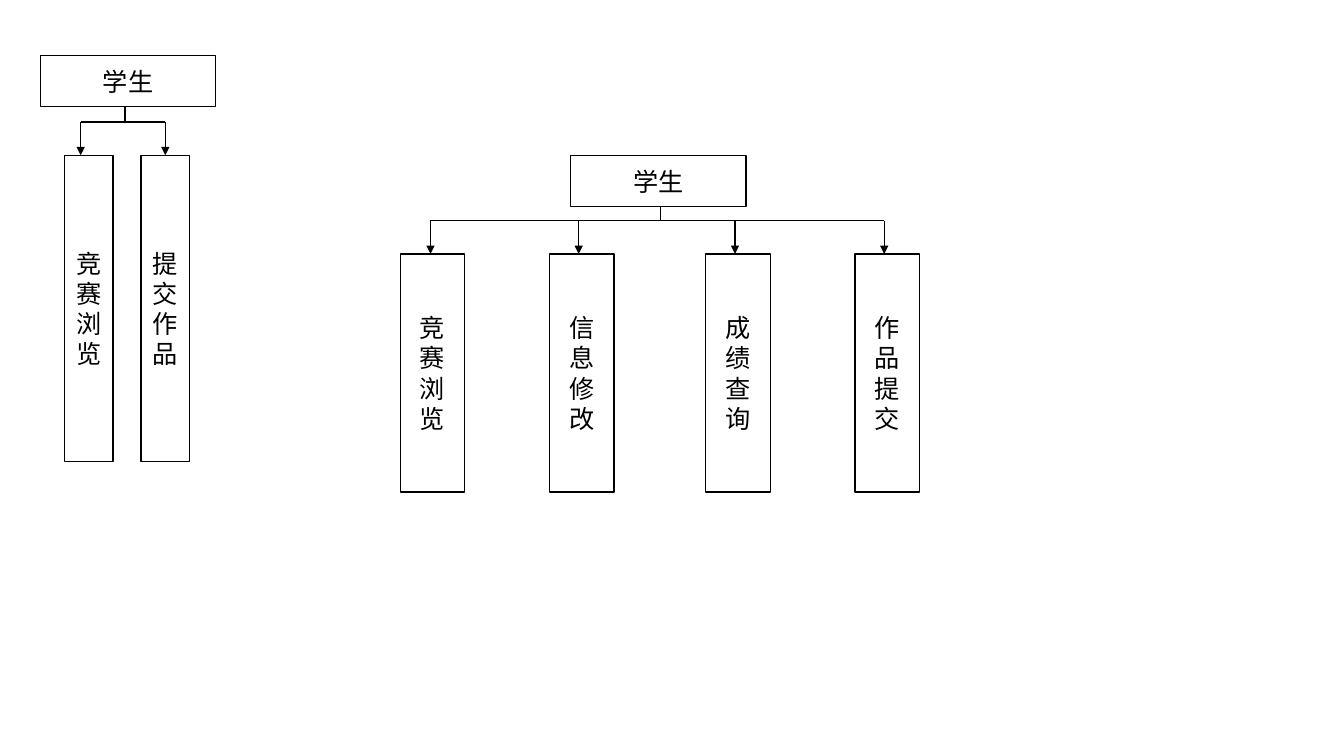
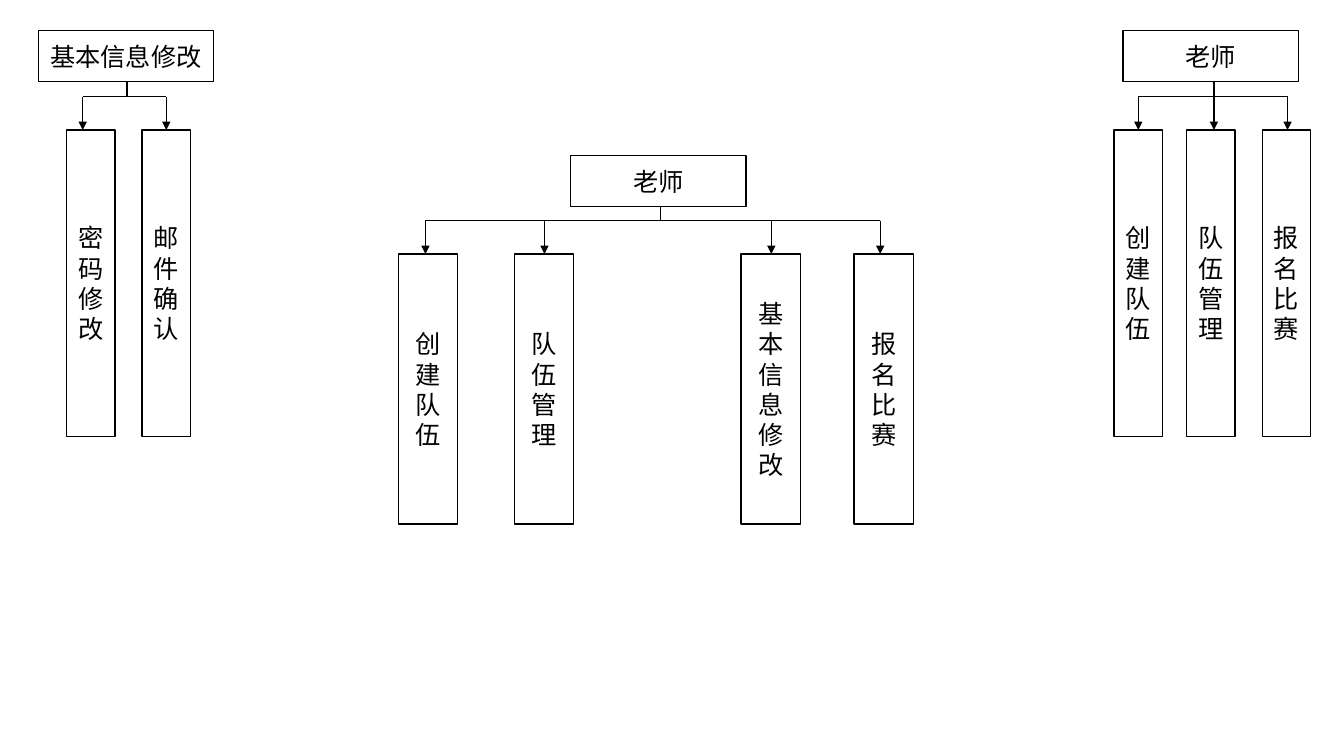
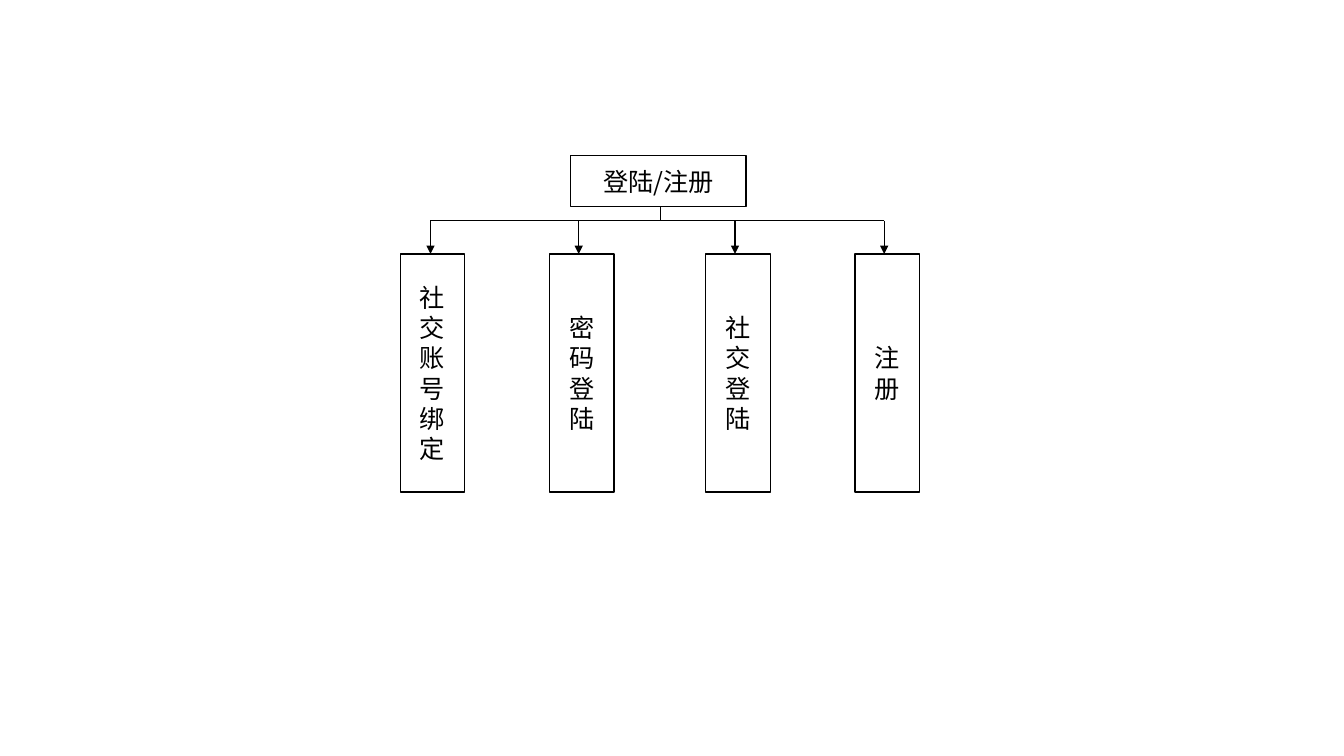
from lxml.etree import SubElement
from pptx import Presentation
from pptx.dml.color import RGBColor
from pptx.enum.shapes import MSO_CONNECTOR, MSO_SHAPE
from pptx.enum.text import MSO_ANCHOR, PP_ALIGN
from pptx.oxml.ns import qn
from pptx.util import Inches, Pt

COLORS = {"paper": "FFFFFF", "ink": "000000"}
FONT = "Noto Sans CJK SC"
ROOT_W, ROOT_H = 1.74, 0.51
DROP = 0.33

# Each column is (leaf left, arrow x), measured from the left of the root.
WIDE = [(-1.69, -1.39), (-0.21, 0.08), (1.34, 1.63), (2.82, 3.11)]
WIDE_UNEVEN = [(-1.71, -1.44), (-0.56, -0.26), (1.69, 1.99), (2.81, 3.07)]
TRIPLE = [(-0.09, 0.15), (0.63, 0.9), (1.38, 1.63)]
PAIR = [(0.24, 0.4), (1, 1.24)]
PAIR_SHIFTED = [(0.28, 0.44), (1.03, 1.27)]


def color(name):
    """Return a palette colour."""
    return RGBColor.from_string(COLORS[name])


def add_box(slide, left, top, width, height, text):
    """Draw an outlined box with centred text, one paragraph per line."""
    sp = slide.shapes.add_shape(MSO_SHAPE.RECTANGLE, Inches(left), Inches(top),
                                Inches(width), Inches(height))
    sp.shadow.inherit = False
    sp.fill.solid()
    sp.fill.fore_color.rgb = color("paper")
    sp.line.color.rgb = color("ink")
    sp.line.width = Pt(1)
    tf = sp.text_frame
    tf.word_wrap = True
    tf.vertical_anchor = MSO_ANCHOR.MIDDLE
    for i, line in enumerate(text.split("\n")):
        p = tf.add_paragraph() if i else tf.paragraphs[0]
        p.alignment = PP_ALIGN.CENTER
        r = p.add_run()
        r.text = line
        r.font.size = Pt(18)
        r.font.name = FONT
        r.font.color.rgb = color("ink")
        SubElement(r.font._element, qn("a:ea"), typeface=FONT)


def add_line(slide, x1, y1, x2, y2, arrow=False):
    """Draw a straight line, optionally with an arrowhead at its end."""
    cxn = slide.shapes.add_connector(MSO_CONNECTOR.STRAIGHT, Inches(x1), Inches(y1),
                                     Inches(x2), Inches(y2))
    cxn.line.color.rgb = color("ink")
    cxn.line.width = Pt(1)
    if arrow:
        SubElement(cxn.line._get_or_add_ln(), qn("a:tailEnd"), type="triangle")
    SubElement(cxn._element.spPr, qn("a:effectLst"))


def add_tree(slide, left, top, height, root, labels, columns, leaf_size, stem):
    """Draw a root box, its branching lines and a row of tall leaves."""
    leaf_w, leaf_h = leaf_size
    leaf_top = top + height - leaf_h
    bus = leaf_top - DROP
    add_box(slide, left, top, ROOT_W, ROOT_H, root)
    add_line(slide, left + stem, top + ROOT_H, left + stem, bus)
    add_line(slide, left + columns[0][1], bus, left + columns[-1][1], bus)
    for label, (leaf_x, arrow_x) in zip(labels, columns):
        add_box(slide, left + leaf_x, leaf_top, leaf_w, leaf_h, label)
        add_line(slide, left + arrow_x, bus, left + arrow_x, leaf_top, arrow=True)


def add_main_tree(slide, root, labels, columns=WIDE, leaf_size=(0.64, 2.36)):
    """Draw the four-leaf tree in the middle of a slide."""
    add_tree(slide, 5.66, 1.54, 0.98 + leaf_size[1], root, labels, columns, leaf_size, 0.89)


def add_side_tree(slide, left, top, root, labels, columns, stem):
    """Draw a narrow tree near the top corner of a slide."""
    add_tree(slide, left, top, 4.03, root, labels, columns, (0.48, 3.04), stem)


def student_slide(slide):
    """Build the student functions."""
    add_side_tree(slide, 0.4, 0.55, "学生", ["竞赛浏览", "提交作品"], PAIR, 0.84)
    add_main_tree(slide, "学生", ["竞\n赛\n浏\n览", "信\n息\n修\n改", "成绩查询", "作\n品\n提\n交"])


def teacher_slide(slide):
    """Build the teacher functions."""
    add_side_tree(slide, 11.14, 0.3, "老师", ["创建队伍", "队伍管理", "报名比赛"], TRIPLE, 0.9)
    add_side_tree(slide, 0.38, 0.3, "基本信息修改", ["密码修改", "邮件确认"], PAIR_SHIFTED, 0.88)
    add_main_tree(slide, "老师", ["创建队伍", "队伍管理", "基本信息修改", "报名比赛"],
                  WIDE_UNEVEN, (0.59, 2.68))


def login_slide(slide):
    """Build the login and registration functions."""
    add_main_tree(slide, "登陆/注册", ["社交账号绑定", "密码登陆", "社交登陆", "注册"])


prs = Presentation()
prs.slide_width, prs.slide_height = Inches(13.33), Inches(7.5)
for build in (student_slide, teacher_slide, login_slide):
    s = prs.slides.add_slide(prs.slide_layouts[6])
    s.background.fill.solid()
    s.background.fill.fore_color.rgb = color("paper")
    build(s)
prs.save("out.pptx")
